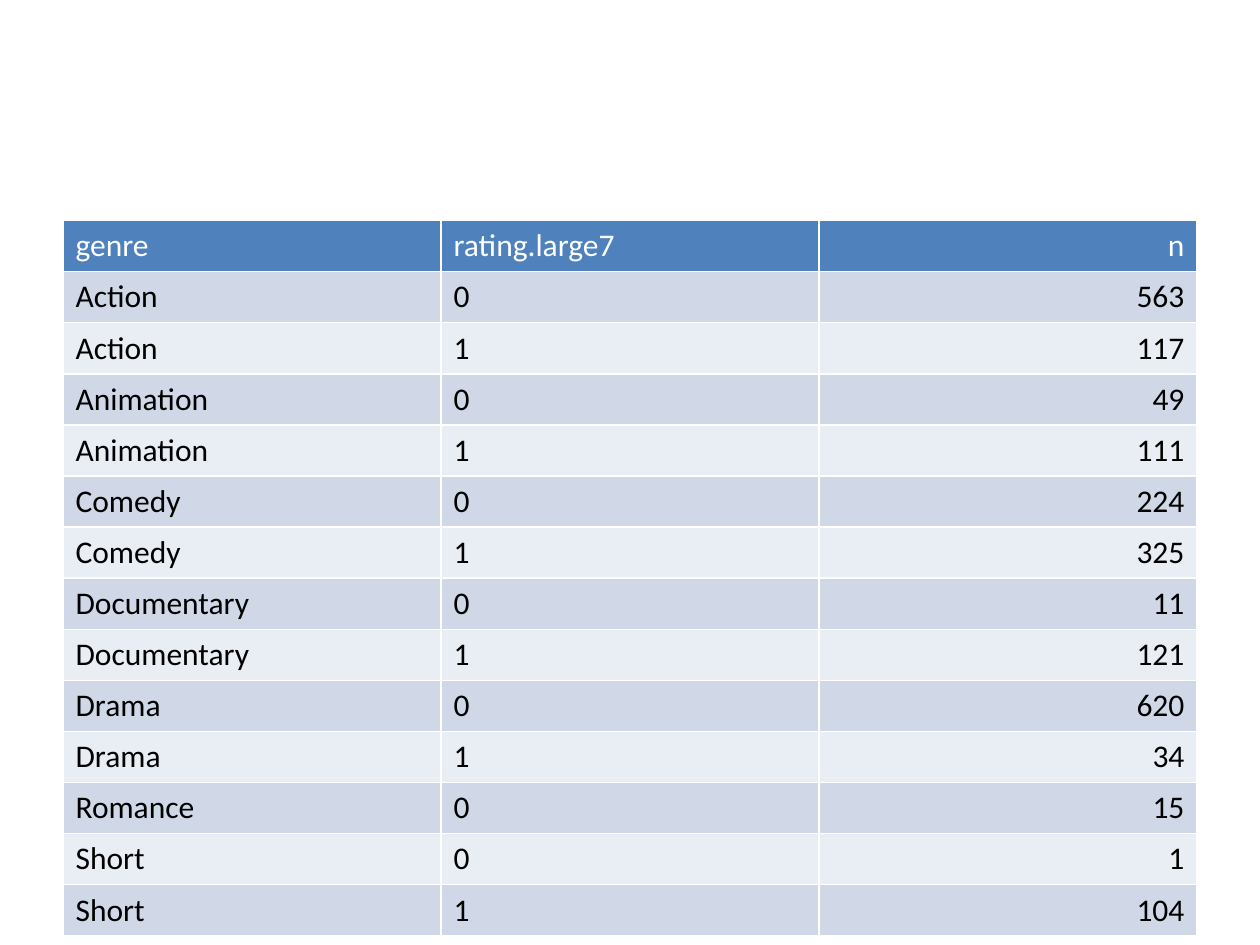
import pptx
import pptx.util
import pptx.dml.color
import pptx.enum.text

Inches = pptx.util.Inches
RGBColor = pptx.dml.color.RGBColor
Align = pptx.enum.text.PP_ALIGN

WHITE = RGBColor(0xFF, 0xFF, 0xFF)
BLACK = RGBColor(0x00, 0x00, 0x00)
BLUE = RGBColor(0x4F, 0x81, 0xBD)
DARK = RGBColor(0xD0, 0xD8, 0xE8)
LIGHT = RGBColor(0xE9, 0xED, 0xF4)

ROWS = [
    ("genre", "rating.large7", "n"),
    ("Action", "0", "563"),
    ("Action", "1", "117"),
    ("Animation", "0", "49"),
    ("Animation", "1", "111"),
    ("Comedy", "0", "224"),
    ("Comedy", "1", "325"),
    ("Documentary", "0", "11"),
    ("Documentary", "1", "121"),
    ("Drama", "0", "620"),
    ("Drama", "1", "34"),
    ("Romance", "0", "15"),
    ("Short", "0", "1"),
    ("Short", "1", "104"),
]


def fill_cell(cell, text, back, ink, align):
    cell.fill.solid()
    cell.fill.fore_color.rgb = back
    para = cell.text_frame.paragraphs[0]
    para.alignment = align
    run = para.add_run()
    run.text = text
    run.font.name = "Calibri"
    run.font.size = pptx.util.Pt(18)
    run.font.bold = False
    run.font.color.rgb = ink


def add_counts(slide, left, top, width, height):
    frame = slide.shapes.add_table(
        len(ROWS), len(ROWS[0]),
        Inches(left), Inches(top), Inches(width), Inches(height))
    for i, row in enumerate(ROWS):
        back = BLUE if i == 0 else DARK if i % 2 else LIGHT
        ink = WHITE if i == 0 else BLACK
        for j, text in enumerate(row):
            align = Align.RIGHT if j == len(row) - 1 else Align.LEFT
            fill_cell(frame.table.cell(i, j), text, back, ink, align)


def main():
    deck = pptx.Presentation()
    deck.slide_width = Inches(10)
    deck.slide_height = Inches(7.5)
    slide = deck.slides.add_slide(deck.slide_layouts[6])
    add_counts(slide, 0.5, 1.75, 9, 4.94)
    deck.save("out.pptx")


if __name__ == "__main__":
    main()
